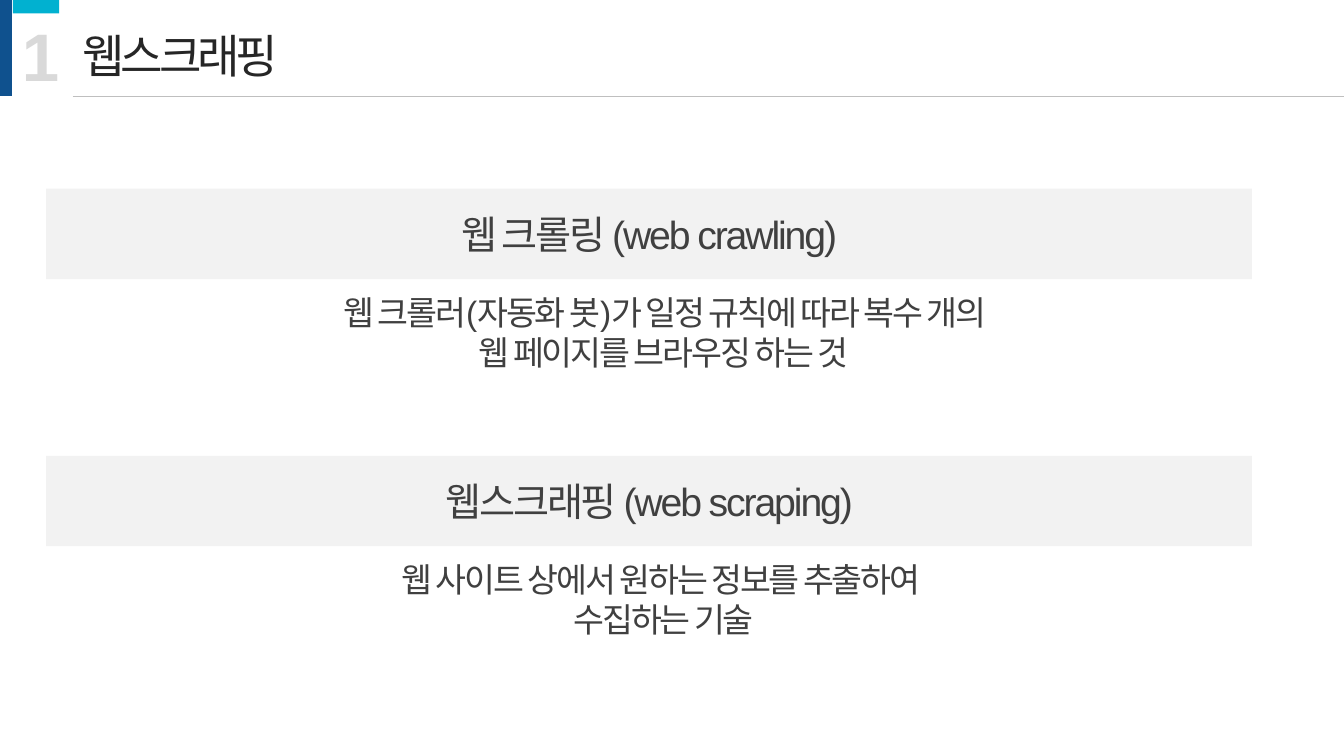
from lxml import etree
from pptx import Presentation
from pptx.dml.color import RGBColor
from pptx.enum.shapes import MSO_CONNECTOR, MSO_SHAPE
from pptx.enum.text import MSO_ANCHOR, MSO_AUTO_SIZE, PP_ALIGN as ALIGN
from pptx.oxml.ns import qn
from pptx.util import Pt

presentation = Presentation()
presentation.slide_width = Pt(960)
presentation.slide_height = Pt(540)
slide = presentation.slides.add_slide(presentation.slide_layouts[6])


def add_rectangle(left, top, width, height, color):
    shape = slide.shapes.add_shape(
        MSO_SHAPE.RECTANGLE, Pt(left), Pt(top), Pt(width), Pt(height))
    shape.shadow.inherit = False
    shape.fill.solid()
    shape.fill.fore_color.rgb = RGBColor.from_string(color)
    shape.line.fill.background()
    return shape


def write_text(shape, text, size, color="404040", bold=False, spacing=0,
               align=ALIGN.CENTER, anchor=MSO_ANCHOR.TOP, wrap=True, grow=True):
    frame = shape.text_frame
    frame.text = text
    frame.word_wrap = wrap
    frame.vertical_anchor = anchor
    frame.auto_size = MSO_AUTO_SIZE.SHAPE_TO_FIT_TEXT if grow else MSO_AUTO_SIZE.NONE
    for paragraph in frame.paragraphs:
        paragraph.alignment = align
        for run in paragraph.runs:
            run.font.name = "Arial"
            run.font.size = Pt(size)
            run.font.bold = bold
            run.font.color.rgb = RGBColor.from_string(color)
            if spacing:
                run.font._element.set("spc", str(int(spacing * 100)))


# Header: corner blocks, title, number and rule
add_rectangle(0, 0, 8.6, 68.5, "0F518E")
add_rectangle(9.2, 0, 33.1, 9.5, "01B1D0")

title = slide.shapes.add_textbox(Pt(52), Pt(16), Pt(876), Pt(48))
write_text(title, "웹스크래핑", 33, color="262626", spacing=-3, align=ALIGN.LEFT)

number = slide.shapes.add_textbox(Pt(8.6), Pt(6.5), Pt(41.8), Pt(65.5))
write_text(number, "1", 48, color="D9D9D9", bold=True, align=ALIGN.LEFT, wrap=False)

rule = slide.shapes.add_connector(
    MSO_CONNECTOR.STRAIGHT, Pt(52), Pt(68.7), Pt(960), Pt(68.7))
rule.line.color.rgb = RGBColor.from_string("BFBFBF")
rule.line.width = Pt(0.5)
etree.SubElement(rule._element.spPr, qn("a:effectLst"))

# Each term in a grey bar with its definition below
definitions = [
    (134.8, "웹 크롤링 (web crawling)",
     "웹 크롤러(자동화 봇)가 일정 규칙에 따라 복수 개의 웹 페이지를 브라우징 하는 것"),
    (325.6, "웹스크래핑 (web scraping)",
     "웹 사이트 상에서 원하는 정보를 추출하여 \n수집하는 기술"),
]
for top, term, definition in definitions:
    bar = add_rectangle(33, top, 861.3, 64.6, "F2F2F2")
    write_text(bar, term, 28, spacing=-1.5, anchor=MSO_ANCHOR.MIDDLE, grow=False)
    box = slide.shapes.add_textbox(Pt(230.4), Pt(top + 70), Pt(487.4), Pt(65.5))
    write_text(box, definition, 24, spacing=-1.5)

presentation.save("out.pptx")
